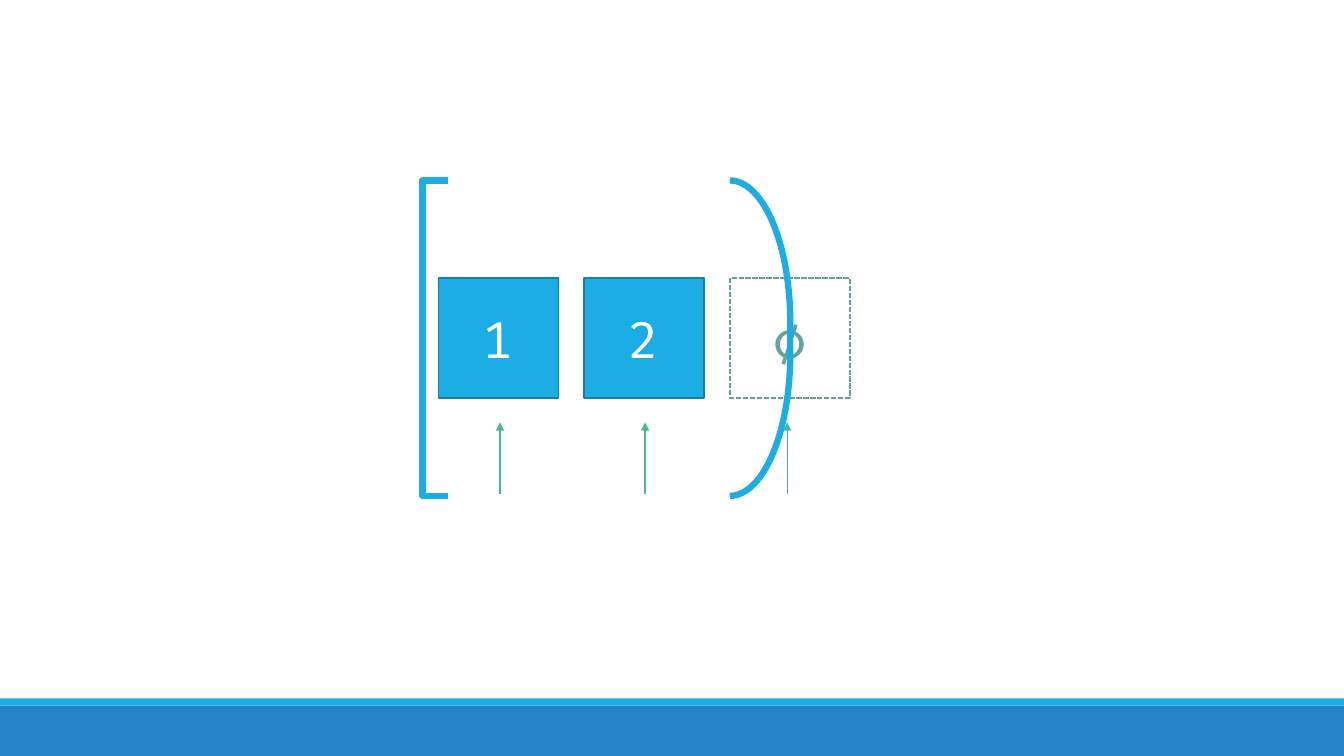
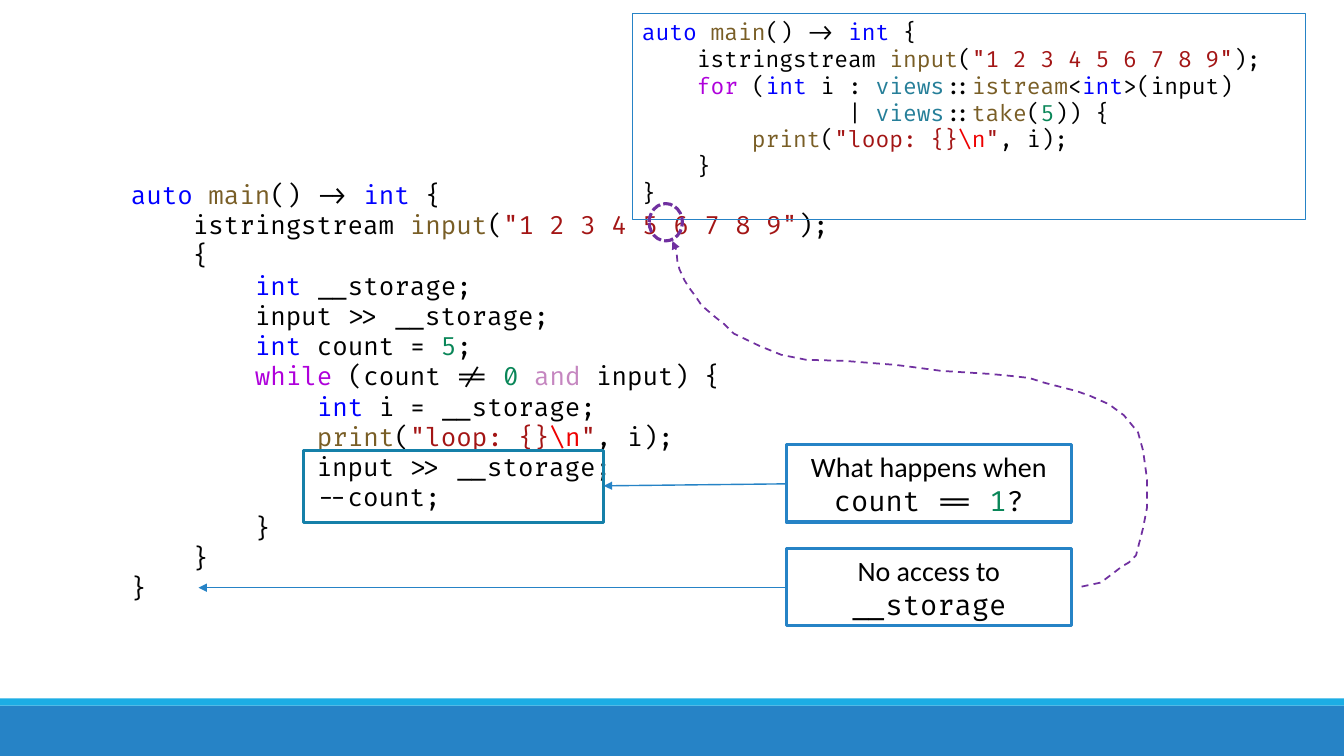
from lxml import etree
from pptx import Presentation
from pptx import util as u
from pptx.dml import color
from pptx.enum import dml, shapes, text
from pptx.oxml import ns

# The grid has ten columns and ten rows to the inch.
UNIT = u.Inches(0.1)
COLUMNS, ROWS = 133.33, 75

BLUE, SKY, DEEP_SKY = "2683C6", "1CADE4", "1580A9"
GREEN, TEAL, PURPLE = "42BA97", "62A39F", "7030A0"
WHITE, BLACK = "FFFFFF", "000000"
KEYWORD, CONTROL, OPERATOR = "0000FF", "AF00DB", "C586C0"
NAME, SCOPE, STRING, ESCAPE, NUMBER = "795E26", "267F99", "A31515", "EE0000", "098658"

CODE_FONT, BODY_FONT = "Fira Code", "Calibri"
SHAPE, DASH = shapes.MSO_SHAPE, dml.MSO_LINE
LEFT, CENTER = text.PP_ALIGN.LEFT, text.PP_ALIGN.CENTER
TOP, MIDDLE = text.MSO_ANCHOR.TOP, text.MSO_ANCHOR.MIDDLE

# A line of code is a list of plain strings and (string, colour) pairs.
MAIN_LINE = [("auto ", KEYWORD), ("main", NAME), "() -> ", ("int", KEYWORD), " {"]
INPUT_LINE = ["    istringstream ", ("input", NAME), "(",
              ('"1 2 3 4 5 6 7 8 9"', STRING), ");"]
PRINT_CALL = [("print", NAME), "(", ('"loop: {}', STRING), ("\\n", ESCAPE),
              ('"', STRING), ", i);"]

LOOP_CODE = [
    MAIN_LINE,
    INPUT_LINE,
    [("    for", CONTROL), " (", ("int ", KEYWORD), "i : ", ("views", SCOPE), "::",
     ("istream", NAME), "<", ("int", KEYWORD), ">(input)"],
    ["               | ", ("views", SCOPE), "::", ("take", NAME), "(",
     ("5", NUMBER), ")) {"],
    ["        ", *PRINT_CALL],
    ["    }"],
    ["}"],
]

EXPANDED_CODE = [
    MAIN_LINE,
    INPUT_LINE,
    ["    {"],
    ["        ", ("int", KEYWORD), " __storage;"],
    ["        input >> __storage;"],
    ["        ", ("int", KEYWORD), " count = ", ("5", NUMBER), ";"],
    ["        ", ("while", CONTROL), " (count != ", ("0 ", NUMBER),
     ("and", OPERATOR), " input) {"],
    ["            ", ("int ", KEYWORD), "i = __storage;"],
    ["            ", *PRINT_CALL],
    ["            input >> __storage;"],
    ["            --count;"],
    ["        }"],
    ["    }"],
    ["}"],
]

STORAGE_PATH = [
    (107.3, 58.2), (109.2, 57.8), (110.4, 56.9), (111.3, 56.2), (112, 55.8),
    (112.7, 55.1), (113.4, 52.4), (113.8, 50.3), (113.8, 47.6), (113.4, 44.7),
    (112.9, 42.9), (111.5, 41.2), (110, 40.1), (108.2, 39.3), (106.8, 38.8),
    (103.7, 38), (102.1, 37.5), (100.3, 37.3), (98.2, 37.1), (93.4, 36.8),
    (90.4, 36.4), (88.8, 36.2), (83.7, 35.8), (80, 35.7), (77.5, 35.2),
    (75.3, 34.3), (72.8, 33.1), (71.9, 32.2), (71, 31.5), (69.6, 30.3),
    (69, 29.4), (68.4, 28.6), (67.9, 27.8), (67.4, 26.7), (67.2, 25.9),
    (67.1, 24.8), (66.7, 23.9),
]


def grid(*lengths):
    return [u.Emu(round(length * UNIT)) for length in lengths]


def rgb(value):
    return color.RGBColor.from_string(value)


def set_line(line, tint, width, dash=None):
    line.color.rgb = rgb(tint)
    line.width = u.Pt(width)
    if dash:
        line.dash_style = dash


def add_arrowhead(item):
    outline = item.element.spPr.find(ns.qn("a:ln"))
    etree.SubElement(outline, ns.qn("a:tailEnd"), type="triangle")


def add_shape(page, at, kind=SHAPE.RECTANGLE, fill=None, line=None, adjust=None):
    """Add a preset shape; line is (colour, width[, dash])."""
    box = page.shapes.add_shape(kind, *grid(*at))
    box.shadow.inherit = False
    if fill:
        box.fill.solid()
        box.fill.fore_color.rgb = rgb(fill)
    else:
        box.fill.background()
    if line:
        set_line(box.line, *line)
    else:
        box.line.fill.background()
    if adjust is not None:
        box.adjustments[0] = adjust
    return box


def write(box, lines, size, font=CODE_FONT, tint=BLACK, align=LEFT, anchor=TOP):
    """Fill a box with lines of spans: a string or (string, colour[, font])."""
    frame = box.text_frame
    frame.word_wrap = True
    frame.vertical_anchor = anchor
    for index, spans in enumerate(lines):
        para = frame.add_paragraph() if index else frame.paragraphs[0]
        para.alignment = align
        for part in spans:
            words, *own = (part,) if isinstance(part, str) else part
            span = para.add_run()
            span.text = words
            span.font.size = u.Pt(size)
            span.font.color.rgb = rgb(own[0] if own else tint)
            span.font.name = own[1] if len(own) > 1 else font


def add_arrow(page, start, end, tint):
    arrow = page.shapes.add_connector(shapes.MSO_CONNECTOR.STRAIGHT, *grid(*start, *end))
    set_line(arrow.line, tint, 1)
    etree.SubElement(arrow.element.spPr, ns.qn("a:effectLst"))
    add_arrowhead(arrow)


def add_curve(page, points, *line):
    start, *rest = [grid(*point) for point in points]
    builder = page.shapes.build_freeform(*start)
    builder.add_line_segments(rest, close=False)
    curve = builder.convert_to_shape()
    curve.shadow.inherit = False
    curve.fill.background()
    set_line(curve.line, *line)
    add_arrowhead(curve)


def add_callout(page, top, lines):
    box = add_shape(page, (78, top, 28.3, 7.7), line=(BLUE, 2.25))
    write(box, lines, 20, font=BODY_FONT, align=CENTER, anchor=MIDDLE)


def add_page(deck):
    """Add a blank page with the bands at its foot."""
    page = deck.slides.add_slide(deck.slide_layouts[6])
    add_shape(page, (0, ROWS - 5, COLUMNS, 5), fill=BLUE)
    add_shape(page, (0, ROWS - 5.7, COLUMNS, 0.7), fill=SKY)
    return page


def build_range_page(deck):
    page = add_page(deck)
    side, first, pitch = 11.9, 43.5, 14.45
    filled = dict(fill=SKY, line=(DEEP_SKY, 1.25))
    empty = dict(line=(TEAL, 1.25, DASH.SQUARE_DOT))
    cells = [("1", WHITE, filled, 49.6), ("2", WHITE, filled, 64), ("∅", TEAL, empty, 78.1)]
    for index, (label, tint, style, arrow_x) in enumerate(cells):
        box = add_shape(page, (first + index * pitch, 27.6, side, side), **style)
        write(box, [[label]], 36, tint=tint, align=CENTER, anchor=MIDDLE)
        add_arrow(page, (arrow_x, 49), (arrow_x, 41.9), GREEN)
    bracket = dict(line=(SKY, 4.5))
    add_shape(page, (41.9, 17.9, 2.5, 31.3), SHAPE.LEFT_BRACKET, adjust=0, **bracket)
    add_shape(page, (72.4, 17.9, 6, 31.3), SHAPE.RIGHT_BRACKET, adjust=2.35, **bracket)


def build_code_page(deck):
    page = add_page(deck)
    write(page.shapes.add_textbox(*grid(12, 17.3, 74.4, 43.4)), EXPANDED_CODE, 18)
    write(add_shape(page, (62.7, 1.3, 66.8, 20.5), line=(BLUE, 0.75)), LOOP_CODE, 16)
    add_shape(page, (30.1, 44.7, 29.8, 7.1), line=(DEEP_SKY, 2.25))
    add_callout(page, 44.1, [["What happens when ", ("count == ", BLACK, CODE_FONT),
                              ("1", NUMBER, CODE_FONT), ("?", BLACK, CODE_FONT)]])
    add_arrow(page, (78, 48), (59.9, 48.2), BLUE)
    add_callout(page, 54.4, [["No access to"], [("__storage", BLACK, CODE_FONT)]])
    add_arrow(page, (78, 58.3), (19.7, 58.3), BLUE)
    add_curve(page, STORAGE_PATH, PURPLE, 1.25, DASH.DASH)
    add_shape(page, (64.4, 20.2, 3.3, 3.7), SHAPE.OVAL, line=(PURPLE, 2.25, DASH.SQUARE_DOT))


def main():
    deck = Presentation()
    deck.slide_width, deck.slide_height = grid(COLUMNS, ROWS)
    build_range_page(deck)
    build_code_page(deck)
    deck.save("out.pptx")


if __name__ == "__main__":
    main()
